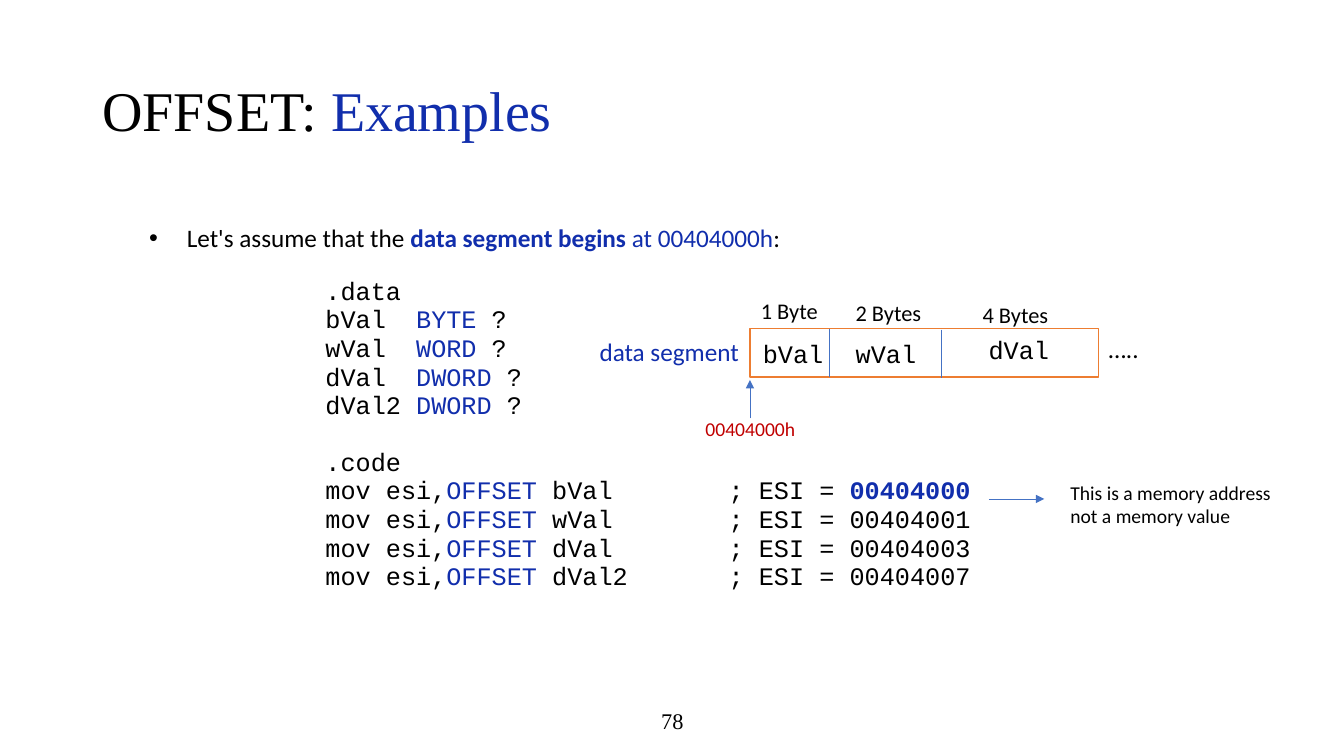
from pptx import Presentation
from pptx.dml.color import RGBColor as Rgb
from pptx.enum.shapes import MSO_CONNECTOR as Conn, MSO_SHAPE as Kind
from pptx.enum.text import MSO_ANCHOR as Anchor, MSO_AUTO_SIZE as Fit, PP_ALIGN as Align
from pptx.oxml.ns import qn
from pptx.util import Pt
from lxml.etree import SubElement as Sub


class Theme:
    black = Rgb.from_string("000000")
    blue = Rgb.from_string("112EAC")
    red = Rgb.from_string("C00000")
    white = Rgb.from_string("FFFFFF")
    frame = Rgb.from_string("ED7D31")
    line = Rgb.from_string("4472C4")
    serif, sans, mono = "Times New Roman", "Calibri", "Courier New"
    title, body, label, note = 40, 18, 16, 14


deck = Presentation()
deck.slide_width, deck.slide_height = Pt(960), Pt(540)
slide = deck.slides.add_slide(deck.slide_layouts[6])
shapes = slide.shapes


def write(box, lines, size, font=Theme.sans, wrap=False):
    """Add a text box; each line is a list of (text, colour, bold) runs."""
    frame = shapes.add_textbox(*map(Pt, box)).text_frame
    frame.word_wrap = wrap
    frame.auto_size = Fit.NONE if wrap else Fit.SHAPE_TO_FIT_TEXT
    for i, runs in enumerate(lines):
        para = frame.add_paragraph() if i else frame.paragraphs[0]
        for text, color, *bold in runs:
            run = para.add_run()
            run.text = text
            run.font.color.rgb = color
            if bold:
                run.font.bold = True
    return frame, [style(p, size, font) for p in frame.paragraphs]


def style(para, size, font):
    # Bullets and tabs go in before the paragraph font
    props = para._p.get_or_add_pPr()
    if font == Theme.mono and "\t" in para.text:
        tabs = Sub(props, qn("a:tabLst"))
        Sub(tabs, qn("a:tab"), pos=str(Pt(288)), algn="l")
    elif para.text.startswith("Let's"):
        props.set("marL", str(Pt(27)))
        props.set("indent", str(Pt(-27)))
        Sub(props, qn("a:buFont"), typeface="Arial")
        Sub(props, qn("a:buChar"), char="•")
    para.font.size, para.font.name = Pt(size), font
    return para


# Title and page number
black, blue = Theme.black, Theme.blue
frame, paras = write((66, 28.8, 828, 104.4), [[("OFFSET: ", black), ("Examples", blue)]],
                     Theme.title, Theme.serif, True)
frame.vertical_anchor = Anchor.MIDDLE
paras[0].line_spacing = 0.9
frame, paras = write((318.24, 500.4, 324, 28.8), [[("78", black)]],
                     Theme.label, Theme.serif, True)
frame.vertical_anchor = Anchor.MIDDLE
paras[0].alignment = Align.CENTER

# Code listing
code = [[(".data", black)]]
for name, kind in (("bVal ", "BYTE"), ("wVal ", "WORD"), ("dVal ", "DWORD"), ("dVal2", "DWORD")):
    code.append([(name + " ", black), (kind, blue), (" ?", black)])
code.append([(".code", black)])
for name, end in (("bVal ", "0"), ("wVal ", "1"), ("dVal ", "3"), ("dVal2", "7")):
    value = "0040400" + end
    mark = (value, blue, True) if end == "0" else (value, black)
    code.append([("mov esi,", black), ("OFFSET ", blue), (name + "\t; ESI = ", black), mark])
frame, paras = write((225.36, 195.12, 509.76, 257.76), code, Theme.body, Theme.mono, True)
frame.margin_top, frame.margin_bottom = Pt(10.8), Pt(18)
for i, para in enumerate(paras):
    para.line_spacing = 0.5
    if i:
        para.space_before = Pt(29.5 if para.text == ".code" else 9.65)

# Opening bullet
frame, _ = write((99.36, 148.32, 606.24, 43.92),
                 [[("Let's assume that the ", black), ("data segment begins ", blue, True),
                   ("at 00404000h", blue), (":", black)]], Theme.body, wrap=True)
frame.margin_top = frame.margin_bottom = Pt(10.8)

# Data segment bar
bar = shapes.add_shape(Kind.RECTANGLE, Pt(535.68), Pt(234.72), Pt(249.12), Pt(34.56))
bar.shadow.inherit = False
bar.fill.solid()
bar.fill.fore_color.rgb = Theme.white
bar.line.color.rgb, bar.line.width = Theme.frame, Pt(1)

# Dividers and arrows
for x1, y1, x2, y2, arrow in (
    (592.56, 234.72, 592.56, 269.28, False),
    (672.48, 235.44, 672.48, 270, False),
    (535.68, 298.8, 535.68, 271.44, True),
    (706.32, 356.4, 745.92, 356.4, True),
):
    line = shapes.add_connector(Conn.STRAIGHT, Pt(x1), Pt(y1), Pt(x2), Pt(y2))
    line.line.color.rgb, line.line.width = Theme.line, Pt(0.5)
    if arrow:
        Sub(line.line._get_or_add_ln(), qn("a:tailEnd"), type="triangle")
    Sub(line._element.spPr, qn("a:effectLst"))

# Labels around the bar
for text, box, size, font, color in (
    ("data segment", (421.2, 236.88, 115.2, 28.8), Theme.body, Theme.sans, blue),
    ("bVal", (537.84, 238.32, 69.12, 28.8), Theme.body, Theme.mono, black),
    ("wVal", (604.08, 238.32, 58.32, 28.8), Theme.body, Theme.mono, black),
    ("dVal", (699.12, 235.44, 69.12, 28.8), Theme.body, Theme.mono, black),
    ("…..", (784.8, 234.72, 47.52, 28.8), Theme.body, Theme.sans, black),
    ("1 Byte", (536.4, 208.8, 56.16, 26.64), Theme.label, Theme.sans, black),
    ("2 Bytes", (604.08, 210.24, 61.92, 26.64), Theme.label, Theme.sans, black),
    ("4 Bytes", (694.8, 211.68, 61.92, 26.64), Theme.label, Theme.sans, black),
    ("00404000h", (496.8, 294.48, 79.2, 24.48), Theme.note, Theme.sans, Theme.red),
):
    write(box, [[(text, color)]], size, font)

# Side note
write((757.44, 339.84, 162, 41.04),
      [[("This is a memory address", black)], [("not a memory value", black)]], Theme.note)

deck.save("out.pptx")
